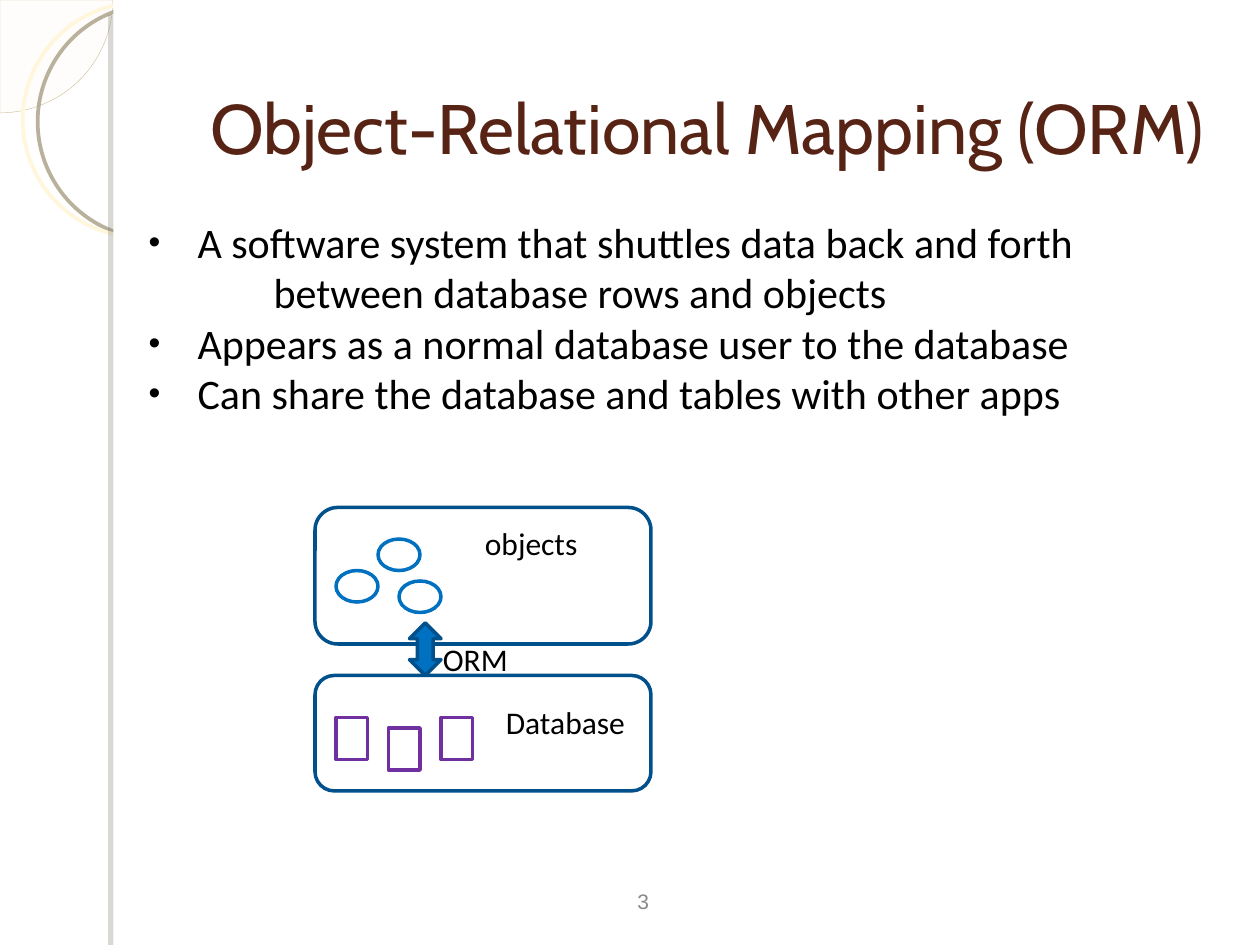
from math import cos, pi, sin

from lxml.etree import SubElement
from pptx import Presentation
from pptx.dml.color import RGBColor
from pptx.enum.shapes import MSO_SHAPE as Shape
from pptx.enum.text import MSO_ANCHOR as Anchor, PP_ALIGN as Align
from pptx.oxml.ns import qn
from pptx.util import Pt

WHITE = RGBColor(0xFF, 0xFF, 0xFF)
BLACK = RGBColor(0x00, 0x00, 0x00)
BROWN = RGBColor(0x57, 0x23, 0x14)
GRAY = RGBColor(0x89, 0x89, 0x89)
NAVY = RGBColor(0x00, 0x50, 0x8C)
BLUE = RGBColor(0x00, 0x70, 0xC0)
PURPLE = RGBColor(0x70, 0x30, 0xA0)
IVORY = RGBColor(0xFE, 0xFA, 0xF4)
CREAM = RGBColor(0xFF, 0xF6, 0xDB)
SAND = RGBColor(0xD2, 0xC3, 0x9E)
OLIVE = RGBColor(0xAF, 0xA5, 0x8D)
UMBER = RGBColor(0x70, 0x6B, 0x5F)


class SlideBuilder:
    """Adds styled elements to one slide; all lengths are points."""

    body_font = "Calibri"
    outline_width = 2

    def __init__(self, slide):
        self.slide = slide

    def paint(self, shape, fill, line, width):
        shape.shadow.inherit = False
        if fill is None:
            shape.fill.background()
        else:
            shape.fill.solid()
            shape.fill.fore_color.rgb = fill
        if line is None:
            shape.line.fill.background()
        else:
            shape.line.color.rgb = line
            shape.line.width = Pt(width)
        return shape

    def shape(self, kind, box, fill=None, line=None, width=outline_width):
        shape = self.slide.shapes.add_shape(kind, *map(Pt, box))
        return self.paint(shape, fill, line, width)

    def shadow(self, shape, color, opacity, distance, angle):
        effects = shape._element.spPr.find(qn("a:effectLst"))
        outer = SubElement(effects, qn("a:outerShdw"), blurRad="0",
                           dist=str(Pt(distance)), dir=str(angle * 60000),
                           algn="tl", rotWithShape="0")
        tone = SubElement(outer, qn("a:srgbClr"), val=str(color))
        SubElement(tone, qn("a:alpha"), val=str(opacity * 1000))

    def quarter_disc(self, radius, fill, opacity, line, width, steps=32):
        angles = [pi / 2 * step / steps for step in range(steps + 1)]
        builder = self.slide.shapes.build_freeform(0, 0, scale=1)
        builder.add_line_segments(
            [(Pt(radius * cos(a)), Pt(radius * sin(a))) for a in angles])
        shape = self.paint(builder.convert_to_shape(), fill, line, width)
        tone = shape._element.spPr.find(qn("a:solidFill"))[0]
        SubElement(tone, qn("a:alpha"), val=str(opacity * 1000))

    def text(self, box, lines, size=18, font=body_font, color=BLACK,
             anchor=Anchor.TOP, align=Align.LEFT, spacing=None):
        frame = self.slide.shapes.add_textbox(*map(Pt, box)).text_frame
        frame.word_wrap = True
        frame.vertical_anchor = anchor
        frame.text = "\n".join(lines)
        for paragraph in frame.paragraphs:
            paragraph.font.size = Pt(size)
            paragraph.font.name = font
            paragraph.font.color.rgb = color
            paragraph.alignment = align
            paragraph.line_spacing = spacing
        return frame.paragraphs

    def indent(self, paragraph, margin, bullet=False):
        properties = paragraph._p.get_or_add_pPr()
        properties.set("marL", str(Pt(margin)))
        properties.set("indent", str(-Pt(margin) if bullet else 0))
        if bullet:
            # Bullet elements must come before the default run properties
            defaults = properties.find(qn("a:defRPr"))
            for tag, name, value in (("a:buSzPct", "val", "80000"),
                                     ("a:buFont", "typeface", "Arial"),
                                     ("a:buChar", "char", "•")):
                element = SubElement(properties, qn(tag), {name: value})
                if defaults is not None:
                    defaults.addprevious(element)


def main():
    presentation = Presentation()
    presentation.slide_width, presentation.slide_height = Pt(720), Pt(540)
    slide = presentation.slides.add_slide(presentation.slide_layouts[6])
    builder = SlideBuilder(slide)

    # Side decoration
    builder.quarter_disc(64.5, IVORY, 33, SAND, 0.25)
    ring = builder.shape(Shape.OVAL, (13, 1.5, 134, 134), None, CREAM, 2.15)
    builder.shadow(ring, OLIVE, 85, 8.6, 7)
    builder.shape(Shape.RECTANGLE, (80, 0, 640, 540), WHITE)
    strip = builder.shape(Shape.RECTANGLE, (64.8, 0, 15.2, 540), WHITE)
    builder.shadow(strip, UMBER, 25, 9, 109)

    # Layers of the diagram
    for top, height in ((290, 78), (386, 66)):
        builder.shape(Shape.ROUNDED_RECTANGLE, (180, top, 192, height),
                      line=NAVY)

    # Objects and database tables
    for left, top in ((216, 308), (228, 332), (192, 326)):
        builder.shape(Shape.OVAL, (left, top, 24, 18), line=BLUE)
    for left, top in ((192, 410), (222, 416), (252, 410)):
        builder.shape(Shape.RECTANGLE, (left, top, 18, 24), line=PURPLE)

    # Mapping arrow and labels
    builder.shape(Shape.UP_DOWN_ARROW, (234, 356, 18, 30), BLUE, NAVY)
    for label, left, top in (("objects", 270, 296), ("Database", 282, 398),
                             ("ORM", 246, 362)):
        builder.text((left, top, 84, 29), [label])

    # Title
    builder.text((113, 11.5, 590.4, 110), ["Object-Relational Mapping (ORM)"],
                 40, "Cabin", BROWN, Anchor.MIDDLE, spacing=1.24)

    # Body: the second line continues the first bullet
    body = builder.text((77.8, 120.2, 546, 122), [
        "A software system that shuttles data back and forth",
        "between database rows and objects",
        "Appears as a normal database user to the database",
        "Can share the database and tables with other apps"], 24)
    for index, paragraph in enumerate(body):
        continued = index == 1
        builder.indent(paragraph, 71.5 if continued else 28, not continued)

    # Slide number
    builder.text((258, 500.4, 120, 29), ["3"], 12, "Arial", GRAY,
                 Anchor.MIDDLE, Align.RIGHT)

    presentation.save("out.pptx")


if __name__ == "__main__":
    main()
